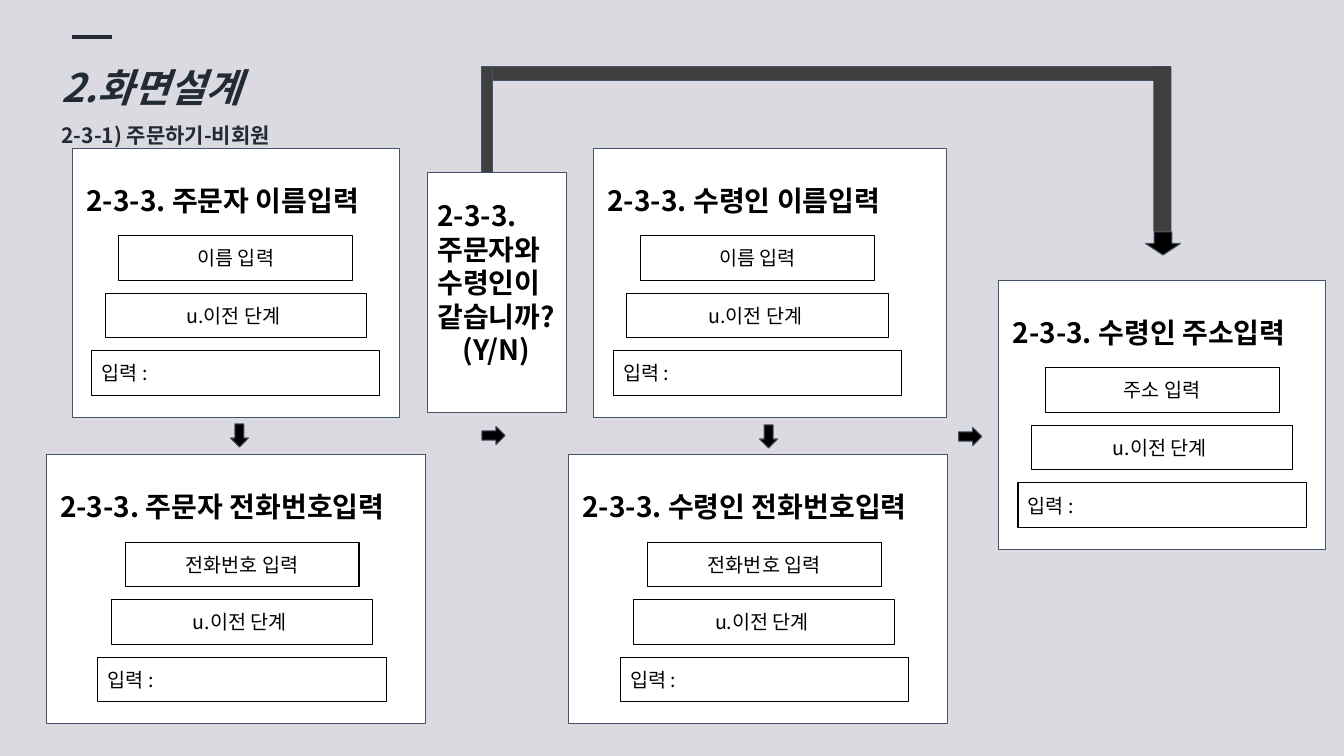
from lxml.etree import SubElement
from pptx import Presentation
from pptx.dml.color import RGBColor
from pptx.enum.shapes import MSO_CONNECTOR as CONN, MSO_SHAPE as SHAPE
from pptx.enum.text import MSO_ANCHOR as ANCHOR, MSO_AUTO_SIZE as AUTO, PP_ALIGN as ALIGN
from pptx.oxml.ns import qn
from pptx.util import Pt

FONT = "Noto Sans CJK KR"
COLORS = {"back": "DBDAE0", "title": "222A35", "panel": "FFFFFF",
          "edge": "44546A", "ink": "000000", "route": "3F3F3F"}
INSET = 7.2
PANELS = [
    (51.8, 105.8, 233.3, 0, "주문자 이름입력", "이름 입력"),
    (33.1, 324.7, 270.7, 4.5, "주문자 전화번호입력", "전화번호 입력"),
    (424.1, 105.8, 252, -9, "수령인 이름입력", "이름 입력"),
    (406.1, 324.7, 270.7, 4.5, "수령인 전화번호입력", "전화번호 입력"),
    (713.5, 200.2, 233.3, 0, "수령인 주소입력", "주소 입력"),
]
ARROWS = [
    (162.7, 304.6, 16.6, 13, 90),
    (344.2, 304.6, 16.6, 13, 0),
    (540.7, 305.3, 16.6, 13, 90),
    (684.7, 305.3, 16.6, 13, 0),
]


def color(name):
    """Return the named colour."""
    return RGBColor.from_string(COLORS[name])


def style_runs(p, size, name="ink", bold=False, italic=False):
    """Format the runs of a paragraph for Latin and Korean text."""
    for r in p.runs:
        r.font.size, r.font.bold, r.font.italic = Pt(size), bold, italic
        r.font.color.rgb = color(name)
        r.font.name = FONT
        SubElement(r.font._element, qn("a:ea"), typeface=FONT)


def add_box(s, x, y, w, h, fill=None, line=None, kind=SHAPE.RECTANGLE):
    """Add a preset shape with optional fill and thin outline."""
    sp = s.shapes.add_shape(kind, Pt(x), Pt(y), Pt(w), Pt(h))
    sp.shadow.inherit = False
    if fill:
        sp.fill.solid()
        sp.fill.fore_color.rgb = color(fill)
    else:
        sp.fill.background()
    if line:
        sp.line.color.rgb = color(line)
        sp.line.width = Pt(0.75)
    else:
        sp.line.fill.background()
    return sp


def set_text(sp, text, size, align=ALIGN.LEFT, bold=False):
    """Fill a shape or text box with evenly inset text."""
    tf = sp.text_frame
    tf.word_wrap = True
    tf.margin_left = tf.margin_top = tf.margin_right = tf.margin_bottom = Pt(INSET)
    tf.text = text
    for p in tf.paragraphs:
        p.alignment = align
        style_runs(p, size, bold=bold)
    return tf


def add_heading(s, x, y, w, h, text):
    """Add a bold panel heading."""
    return set_text(s.shapes.add_textbox(Pt(x), Pt(y), Pt(w), Pt(h)), text, 20, bold=True)


def add_title(s, x, y, w, h):
    """Place the two-line title and the short rule above it."""
    title = s.shapes.title
    title.left, title.top, title.width, title.height = Pt(x), Pt(y), Pt(w), Pt(h)
    tf = title.text_frame
    tf.word_wrap, tf.auto_size, tf.vertical_anchor = True, AUTO.NONE, ANCHOR.TOP
    tf.text = "2.화면설계\n2-3-1) 주문하기-비회원"
    for p, size, italic in zip(tf.paragraphs, (28, 15), (True, False)):
        p.alignment, p.line_spacing = ALIGN.LEFT, 1.5
        style_runs(p, size, "title", True, italic)
    rule = s.shapes.add_connector(CONN.STRAIGHT, Pt(x + 15), Pt(y + 2), Pt(x + 43), Pt(y + 2))
    rule.line.color.rgb = color("title")
    rule.line.width = Pt(3)
    SubElement(rule._element.spPr, qn("a:effectLst"))


def add_panel(s, x, y, w, shift, heading, prompt):
    """Draw an input screen with its heading and three widening fields."""
    add_box(s, x, y, w, 192.2, "panel", "edge")
    add_heading(s, x + 2.7, y + 18, w - 2.7, 38.9, "2-3-3. " + heading)
    fields = [(prompt, ALIGN.CENTER), ("u.이전 단계 ", ALIGN.CENTER), ("입력 :", ALIGN.LEFT)]
    for i, (text, align) in enumerate(fields):
        width = 167 + 19.5 * i
        left = x + w / 2 + shift - width / 2
        sp = add_box(s, left, y + 62.6 + 41.1 * i, width, 31.7, line="ink")
        set_text(sp, text, 14, align).vertical_anchor = ANCHOR.MIDDLE


def add_question(s, x, y, w, h):
    """Draw the yes/no question box."""
    add_box(s, x, y, w, h, "panel", "edge")
    tf = add_heading(s, x, y + 11.5, w - 0.7, 136,
                     "2-3-3.\n주문자와 수령인이\n같습니까?\n(Y/N)")
    tf.paragraphs[-1].alignment = ALIGN.CENTER


def add_arrow(s, x, y, w, h, rotation):
    """Draw a block arrow turned by the given angle."""
    add_box(s, x, y, w, h, "ink", "edge", SHAPE.RIGHT_ARROW).rotation = rotation


def add_route(s, x, y, w):
    """Draw the bypass from the question to the address screen."""
    add_arrow(s, x + w - 13.6, y + 113.8, 16.6, 25.2, 90)
    add_box(s, x, y, w, 10.1, "route", "edge")
    add_box(s, x, y, 7.9, 75.6, "route", "edge")
    add_box(s, x + w - 12.2, y, 13, 118, "route")


def main():
    """Build and save the slide."""
    prs = Presentation()
    prs.slide_width, prs.slide_height = Pt(960), Pt(540)
    s = prs.slides.add_slide(prs.slide_layouts[5])
    s.background.fill.solid()
    s.background.fill.fore_color.rgb = color("back")
    add_title(s, 36.7, 24.5, 309.6, 82.1)
    for panel in PANELS:
        add_panel(s, *panel)
    for arrow in ARROWS:
        add_arrow(s, *arrow)
    add_question(s, 305.3, 123.1, 99.4, 171.4)
    add_route(s, 344.2, 47.5, 491.8)
    prs.save("out.pptx")


if __name__ == "__main__":
    main()
